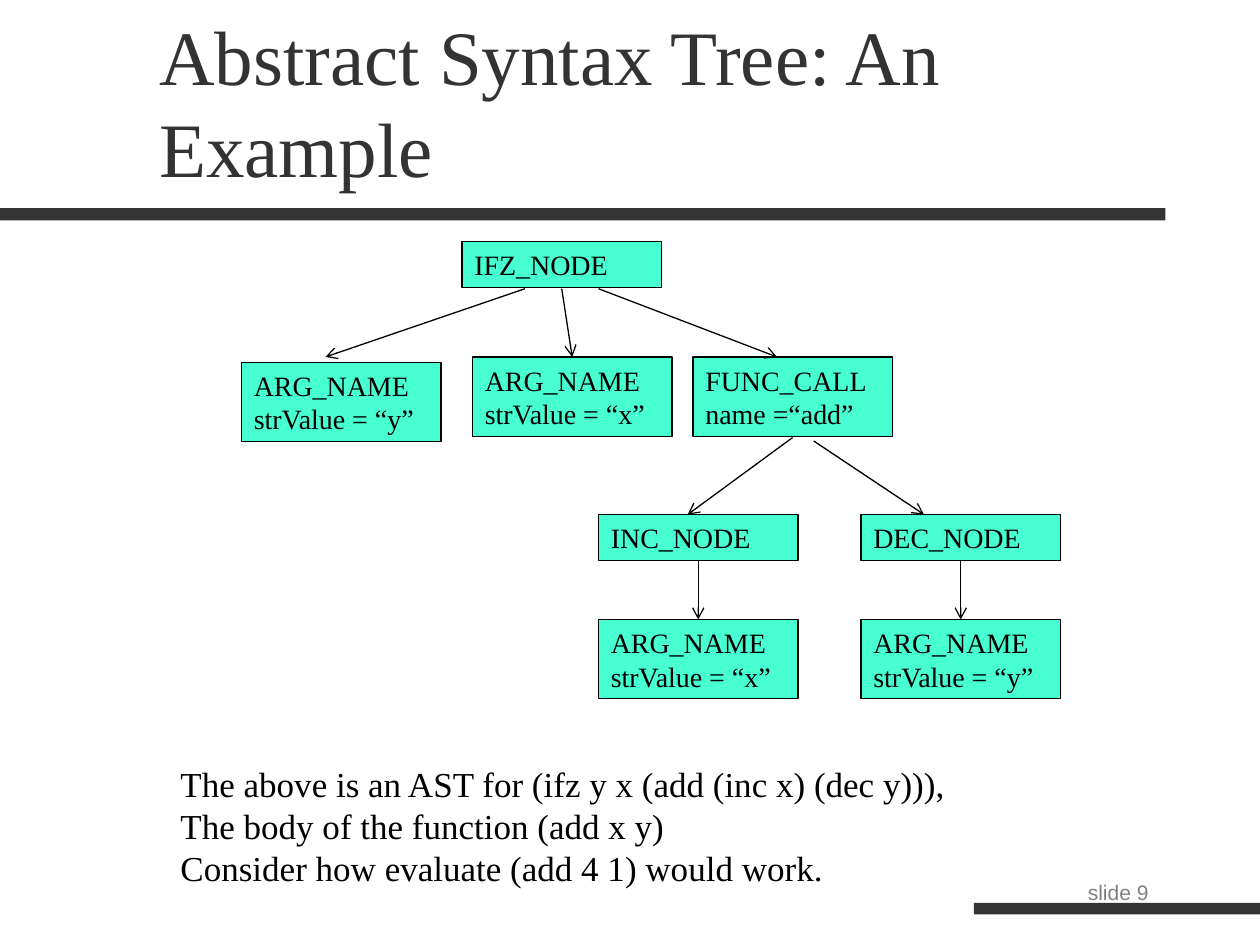
from dataclasses import dataclass

from pptx import Presentation
from pptx.dml.color import RGBColor
from pptx.enum.shapes import MSO_CONNECTOR, MSO_SHAPE
from pptx.enum.text import MSO_ANCHOR, PP_ALIGN
from pptx.oxml.ns import qn
from pptx.slide import Slide
from pptx.text.text import TextFrame
from pptx.util import Pt
from lxml.etree import SubElement

CHARCOAL = RGBColor(0x33, 0x33, 0x33)
GRAY = RGBColor(0x80, 0x80, 0x80)
BLACK = RGBColor(0, 0, 0)
MINT = RGBColor(0x47, 0xFF, 0xD1)
SERIF = "Times New Roman"
SANS = "Arial"

NODE_WIDTH = 114
NODE_HEIGHTS = {1: 26.2, 2: 45.4}  # by number of text lines


@dataclass(frozen=True)
class Box:
    """A rectangle on the slide, in points."""
    left: float
    top: float
    width: float
    height: float

    def emu(self) -> tuple:
        """Give the four lengths as python-pptx takes them."""
        return Pt(self.left), Pt(self.top), Pt(self.width), Pt(self.height)


@dataclass(frozen=True)
class Style:
    """The look and placement of a text."""
    size: float
    color: RGBColor = BLACK
    font: str = SERIF
    align: PP_ALIGN = PP_ALIGN.LEFT
    anchor: MSO_ANCHOR = MSO_ANCHOR.TOP


@dataclass(frozen=True)
class Node:
    """A node of the syntax tree."""
    left: float
    top: float
    lines: tuple[str, ...]


@dataclass(frozen=True)
class Edge:
    """An arrow from a parent node to a child."""
    start: tuple[float, float]
    end: tuple[float, float]


NODE_STYLE = Style(16)

NODES = (
    Node(264, 138, ("IFZ_NODE",)),
    Node(138, 207, ("ARG_NAME", "strValue = “y”")),
    Node(270, 204, ("ARG_NAME", "strValue = “x”")),
    Node(396, 204, ("FUNC_CALL", "name =“add”")),
    Node(342, 294, ("INC_NODE",)),
    Node(492, 294, ("DEC_NODE",)),
    Node(342, 354, ("ARG_NAME", "strValue = “x”")),
    Node(492, 354, ("ARG_NAME", "strValue = “y”")),
)

EDGES = (
    Edge((300, 165), (186, 204)),
    Edge((321, 165), (327, 204)),
    Edge((342, 165), (444, 204)),
    Edge((453, 250), (393, 294)),
    Edge((465, 252), (528, 294)),
    Edge((399, 320.2), (399, 354)),
    Edge((549, 320.2), (549, 354)),
)


def write(frame: TextFrame, lines: tuple[str, ...], style: Style) -> None:
    """Fill a text frame with one paragraph per line."""
    frame.word_wrap = True
    frame.vertical_anchor = style.anchor
    frame.text = "\n".join(lines)
    for paragraph in frame.paragraphs:
        paragraph.alignment = style.align
        paragraph.font.size = Pt(style.size)
        paragraph.font.name = style.font
        paragraph.font.color.rgb = style.color


def add_text(slide: Slide, box: Box, lines: tuple[str, ...], style: Style) -> None:
    """Add a text box."""
    write(slide.shapes.add_textbox(*box.emu()).text_frame, lines, style)


def add_bar(slide: Slide, box: Box) -> None:
    """Add a dark decorative bar."""
    bar = slide.shapes.add_shape(MSO_SHAPE.RECTANGLE, *box.emu())
    bar.shadow.inherit = False
    bar.fill.solid()
    bar.fill.fore_color.rgb = CHARCOAL
    bar.line.fill.background()


def add_node(slide: Slide, node: Node) -> None:
    """Add a tree node, as high as its text needs."""
    box = Box(node.left, node.top, NODE_WIDTH, NODE_HEIGHTS[len(node.lines)])
    shape = slide.shapes.add_shape(MSO_SHAPE.RECTANGLE, *box.emu())
    shape.shadow.inherit = False
    shape.fill.solid()
    shape.fill.fore_color.rgb = MINT
    shape.line.color.rgb = BLACK
    shape.line.width = Pt(0.75)
    write(shape.text_frame, node.lines, NODE_STYLE)


def add_edge(slide: Slide, edge: Edge) -> None:
    """Add an arrow with an open head at its end."""
    ends = (Pt(value) for value in edge.start + edge.end)
    arrow = slide.shapes.add_connector(MSO_CONNECTOR.STRAIGHT, *ends)
    arrow.line.color.rgb = BLACK
    arrow.line.width = Pt(0.75)
    properties = arrow.element.spPr
    SubElement(properties.find(qn("a:ln")), qn("a:tailEnd"), type="arrow")
    SubElement(properties, qn("a:effectLst"))


def main() -> None:
    """Build and save the slide."""
    presentation = Presentation()
    presentation.slide_width, presentation.slide_height = Pt(720), Pt(540)
    slide = presentation.slides.add_slide(presentation.slide_layouts[6])

    add_bar(slide, Box(0, 119, 666, 7))
    add_bar(slide, Box(556.5, 516, 163.5, 6.5))
    add_text(slide, Box(564, 492, 150, 36), ("slide 9",),
             Style(12, GRAY, SANS, PP_ALIGN.CENTER, MSO_ANCHOR.MIDDLE))
    add_text(slide, Box(84, 24, 612, 90), ("Abstract Syntax Tree: An Example",),
             Style(44, CHARCOAL, anchor=MSO_ANCHOR.BOTTOM))
    for node in NODES:
        add_node(slide, node)
    for edge in EDGES:
        add_edge(slide, edge)
    add_text(slide, Box(96, 432, 558, 79), (
        "The above is an AST for (ifz y x (add (inc x) (dec y))),",
        "The body of the function (add x y)",
        "Consider how evaluate (add 4 1) would work.",
    ), Style(20))

    presentation.save("out.pptx")


main()
